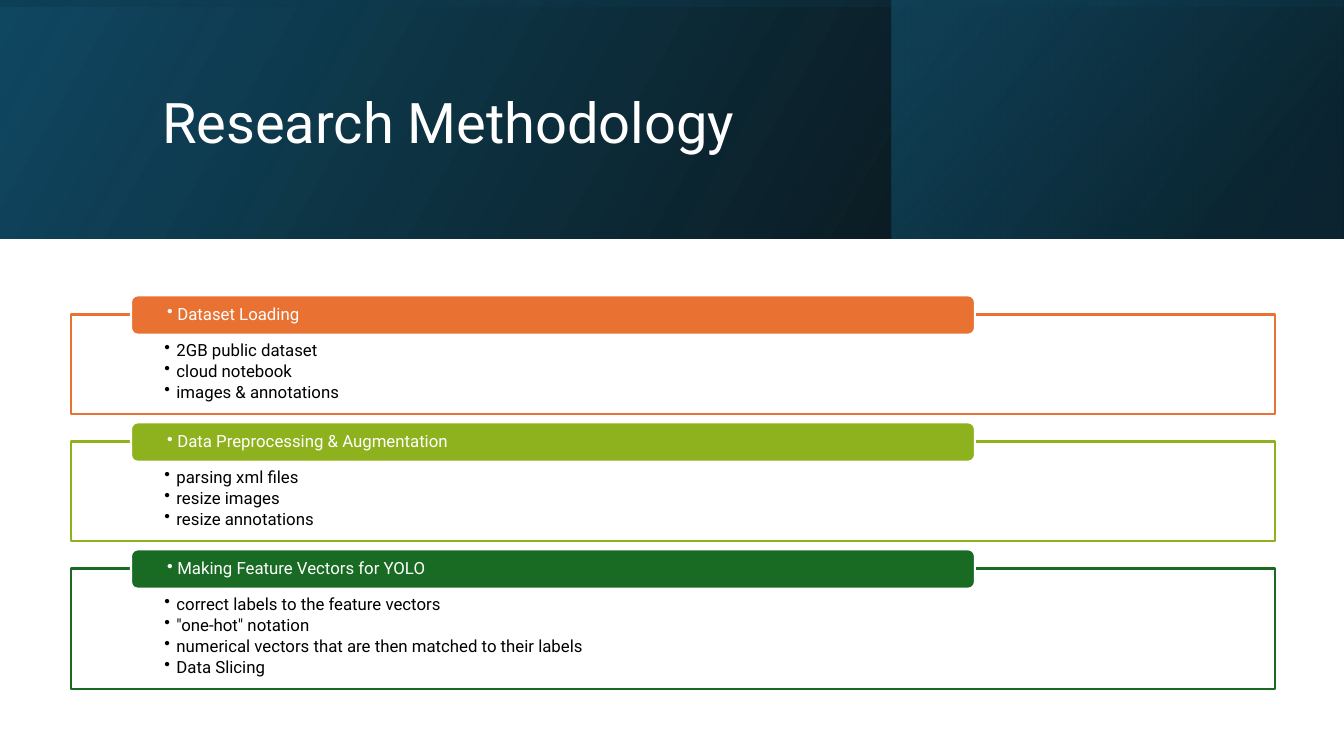
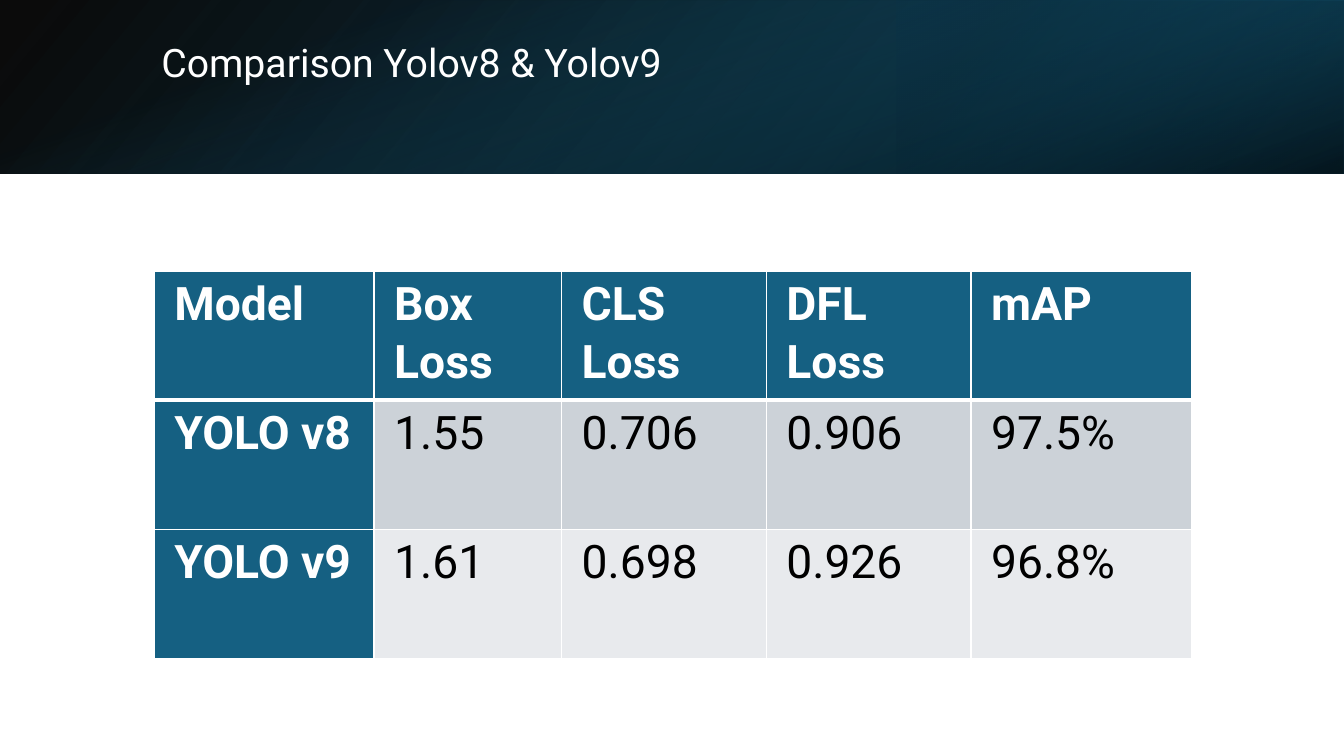
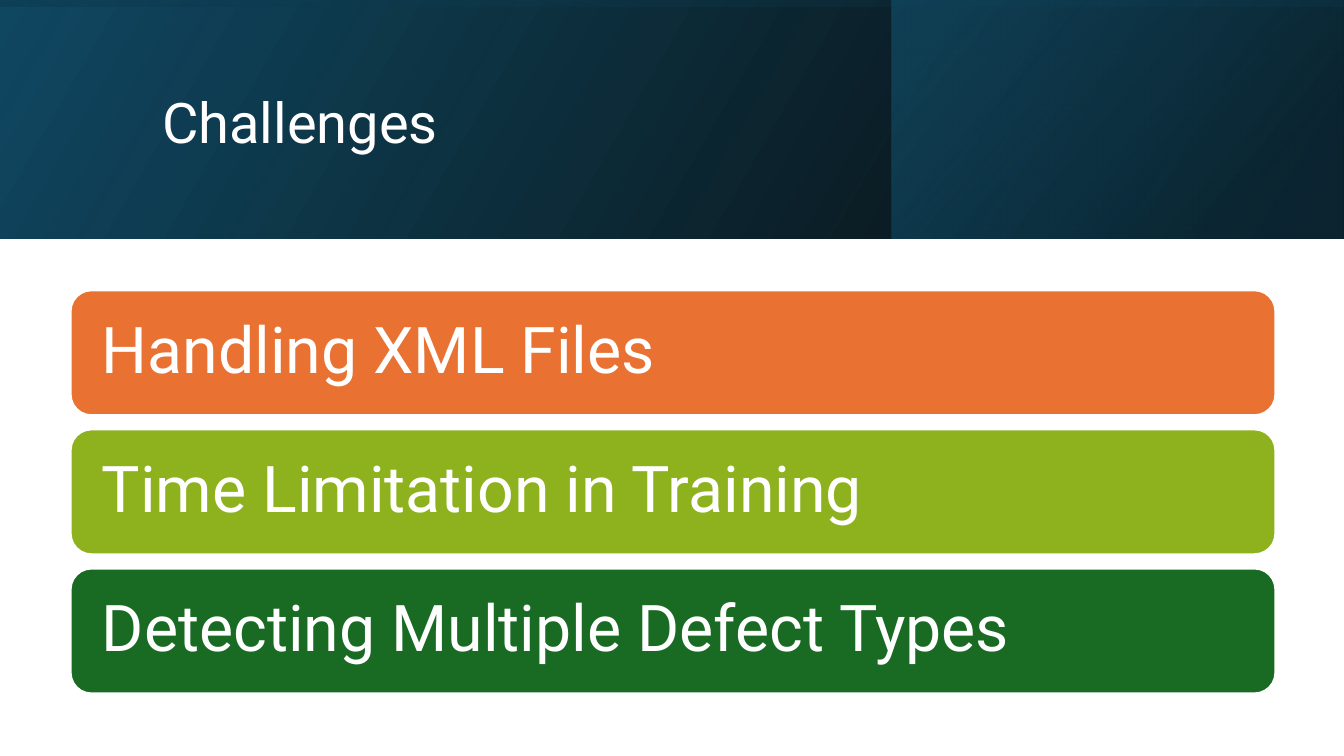
from lxml.etree import SubElement
from pptx import Presentation
from pptx.dml.color import RGBColor
from pptx.enum.shapes import MSO_SHAPE
from pptx.enum.text import MSO_ANCHOR, MSO_AUTO_SIZE, PP_ALIGN
from pptx.oxml import parse_xml
from pptx.oxml.ns import nsdecls, qn
from pptx.util import Emu, Pt

# Style: 100 px to the inch
WIDTH, HEIGHT = 1333, 750
FONT = "Roboto"
WHITE, BLACK, BLUE, NAVY = "FFFFFF", "000000", "156082", "104862"
ACCENTS = ["E97132", "8EB21E", "196B24"]
LEFT, CONTENT_W = 70, 1195

# Gradient stops: position %, colour, opacity %
BASE = [(0, BLACK, 96), (100, NAVY, 100)]
TALL_BAND = dict(
    height=237, base_angle=330,
    side=dict(x=884, w=448, stops=[(19, "0B3041", 68), (100, BLUE, 48)]),
    shade=dict(stops=[(23, NAVY, 16), (99, BLACK, 45)], angle=350,
               rotation=270))
SHORT_BAND = dict(
    height=172, base_angle=140,
    side=dict(x=889, w=444, stops=[(19, "0B3041", 68), (100, BLUE, 79)],
              rotation=180),
    shade=dict(stops=[(23, BLUE, 0), (99, BLACK, 74)], angle=340,
               rotation=90, flip=False))


def px(n):
    return Emu(n * 9144)


def rgb(value):
    return RGBColor.from_string(value)


class Deck:
    def __init__(self):
        self.prs = Presentation()
        self.prs.slide_width, self.prs.slide_height = px(WIDTH), px(HEIGHT)
        self.s = None

    def slide(self, title, band, box, size, anchor=MSO_ANCHOR.MIDDLE):
        self.s = self.prs.slides.add_slide(self.prs.slide_layouts[5])
        self.band(**band)
        sp = self.s.shapes.title
        sp.left, sp.top, sp.width, sp.height = map(px, box)
        self.s.shapes.element.append(sp.element)  # in front of the band
        tf = self.frame(sp.text_frame, (10, 5, 10, 5), anchor)
        self.text(tf.paragraphs[0], title, size, WHITE)

    # Header band: base, right side and shade over the whole width
    def band(self, height, base_angle, side, shade):
        self.gradient(0, 0, WIDTH, height, BASE, base_angle)
        self.gradient(y=0, h=height, angle=320, **side)
        shift = (WIDTH - height) // 2
        self.gradient(shift, -shift, height, WIDTH, **shade)

    def gradient(self, x, y, w, h, stops, angle, rotation=0, flip=True):
        sp = self.shape(MSO_SHAPE.RECTANGLE, x, y, w, h)
        sp.rotation = rotation
        spPr = sp.element.spPr
        if flip:
            spPr.xfrm.set("flipH", "1")
        gs = "".join(
            f'<a:gs pos="{pos * 1000}"><a:srgbClr val="{color}">'
            f'<a:alpha val="{alpha * 1000}"/></a:srgbClr></a:gs>'
            for pos, color, alpha in stops)
        spPr.replace(spPr.find(qn("a:noFill")), parse_xml(
            f'<a:gradFill {nsdecls("a")} rotWithShape="1"><a:gsLst>{gs}'
            f'</a:gsLst><a:lin ang="{angle * 60000}" scaled="0"/>'
            '</a:gradFill>'))

    def shape(self, kind, x, y, w, h, fill=None, line=None):
        sp = self.s.shapes.add_shape(kind, px(x), px(y), px(w), px(h))
        sp.shadow.inherit = False
        if fill:
            sp.fill.solid()
            sp.fill.fore_color.rgb = rgb(fill)
        else:
            sp.fill.background()
        if line:
            sp.line.color.rgb = rgb(line)
            sp.line.width = Pt(1.5)
        else:
            sp.line.fill.background()
        return sp

    def frame(self, tf, insets, anchor):
        tf.word_wrap = True
        tf.auto_size = MSO_AUTO_SIZE.NONE
        tf.vertical_anchor = anchor
        (tf.margin_left, tf.margin_top,
         tf.margin_right, tf.margin_bottom) = map(px, insets)
        return tf

    def text(self, p, text, size, color, bold=False, spacing=0.9, after=0,
             bullet=0):
        p.alignment = PP_ALIGN.LEFT
        p.line_spacing = spacing
        p.space_after = Pt(after)
        if bullet:
            pPr = p._p.get_or_add_pPr()
            pPr.set("marL", str(px(bullet)))
            pPr.set("indent", str(-px(bullet)))
            SubElement(pPr, qn("a:buChar"), char="•")
        r = p.add_run()
        r.text = text
        r.font.name, r.font.size, r.font.bold = FONT, Pt(size), bold
        r.font.color.rgb = rgb(color)

    # Rounded bar with one line of white text
    def bar(self, x, y, w, h, text, size, color, inset, bullet=0):
        sp = self.shape(MSO_SHAPE.ROUNDED_RECTANGLE, x, y, w, h, color, WHITE)
        tf = self.frame(sp.text_frame, (inset, 0, inset, 0),
                        MSO_ANCHOR.MIDDLE)
        self.text(tf.paragraphs[0], text, size, WHITE, bullet=bullet)

    # Outlined list with its heading bar on the top edge
    def step(self, y, h, heading, items, color):
        sp = self.shape(MSO_SHAPE.RECTANGLE, LEFT, y, CONTENT_W, h,
                        WHITE, color)
        tf = self.frame(sp.text_frame, (93, 27, 93, 9), MSO_ANCHOR.TOP)
        for i, item in enumerate(items):
            p = tf.add_paragraph() if i else tf.paragraphs[0]
            self.text(p, item, 12, BLACK, after=2, bullet=12)
        self.bar(130, y - 19, 837, 39, heading, 12, color, 34, bullet=10)

    def table(self, x, y, widths, row_h, rows):
        tbl = self.s.shapes.add_table(
            len(rows), len(widths), px(x), px(y), px(sum(widths)),
            px(row_h * len(rows))).table
        tbl.first_col, tbl.horz_banding = True, False
        for col, w in zip(tbl.columns, widths):
            col.width = px(w)
        for i, row in enumerate(rows):
            tbl.rows[i].height = px(row_h)
            for j, text in enumerate(row):
                head = i == 0 or j == 0
                fill = BLUE if head else ("E8EAED", "CCD2D8")[i % 2]
                self.cell(tbl.cell(i, j), text, fill, head,
                          top=3 if i == 1 else 1, bottom=3 if i == 0 else 1)

    def cell(self, cell, text, fill, head, top, bottom):
        (cell.margin_left, cell.margin_top,
         cell.margin_right, cell.margin_bottom) = map(px, (20, 3, 22, 0))
        cell.fill.solid()
        cell.fill.fore_color.rgb = rgb(fill)
        self.text(cell.text_frame.paragraphs[0], text, 33,
                  WHITE if head else BLACK, head, 1.07, 5)
        tcPr = cell._tc.get_or_add_tcPr()
        for i, (side, pt) in enumerate(zip("LRTB", (1, 1, top, bottom))):
            tcPr.insert(i, parse_xml(
                f'<a:ln{side} {nsdecls("a")} w="{Pt(pt)}"><a:solidFill>'
                f'<a:srgbClr val="{WHITE}"/></a:solidFill></a:ln{side}>'))


def main():
    deck = Deck()
    title_box = (151, 38, 1063, 172)

    # Slide 1: methodology steps
    deck.slide("Research Methodology", TALL_BAND, title_box, 40)
    steps = [
        ("Dataset Loading",
         ["2GB public dataset", "cloud notebook", "images & annotations"]),
        ("Data Preprocessing & Augmentation",
         ["parsing xml files", "resize images", "resize annotations"]),
        ("Making Feature Vectors for YOLO",
         ["correct labels to the feature vectors", '"one-hot" notation',
          "numerical vectors that are then matched to their labels",
          "Data Slicing"]),
    ]
    y = 312
    for (heading, items), color in zip(steps, ACCENTS):
        h = 36 + 21 * len(items)
        deck.step(y, h, heading, items, color)
        y += h + 27

    # Slide 2: model comparison
    deck.slide("Comparison Yolov8 & Yolov9", SHORT_BAND,
               (150, 38, 1098, 96), 28, MSO_ANCHOR.TOP)
    deck.table(153, 269, [218, 186, 203, 203, 219], 128, [
        ["Model", "Box Loss", "CLS Loss", "DFL Loss", "mAP"],
        ["YOLO v8", "1.55", "0.706", "0.906", "97.5%"],
        ["YOLO v9", "1.61", "0.698", "0.926", "96.8%"],
    ])

    # Slide 3: challenges
    deck.slide("Challenges", TALL_BAND, title_box, 40)
    challenges = ["Handling XML Files", "Time Limitation in Training",
                  "Detecting Multiple Defect Types"]
    for i, (text, color) in enumerate(zip(challenges, ACCENTS)):
        deck.bar(LEFT, 288 + 138 * i, CONTENT_W, 124, text, 46, color, 25)

    deck.prs.save("out.pptx")


if __name__ == "__main__":
    main()
